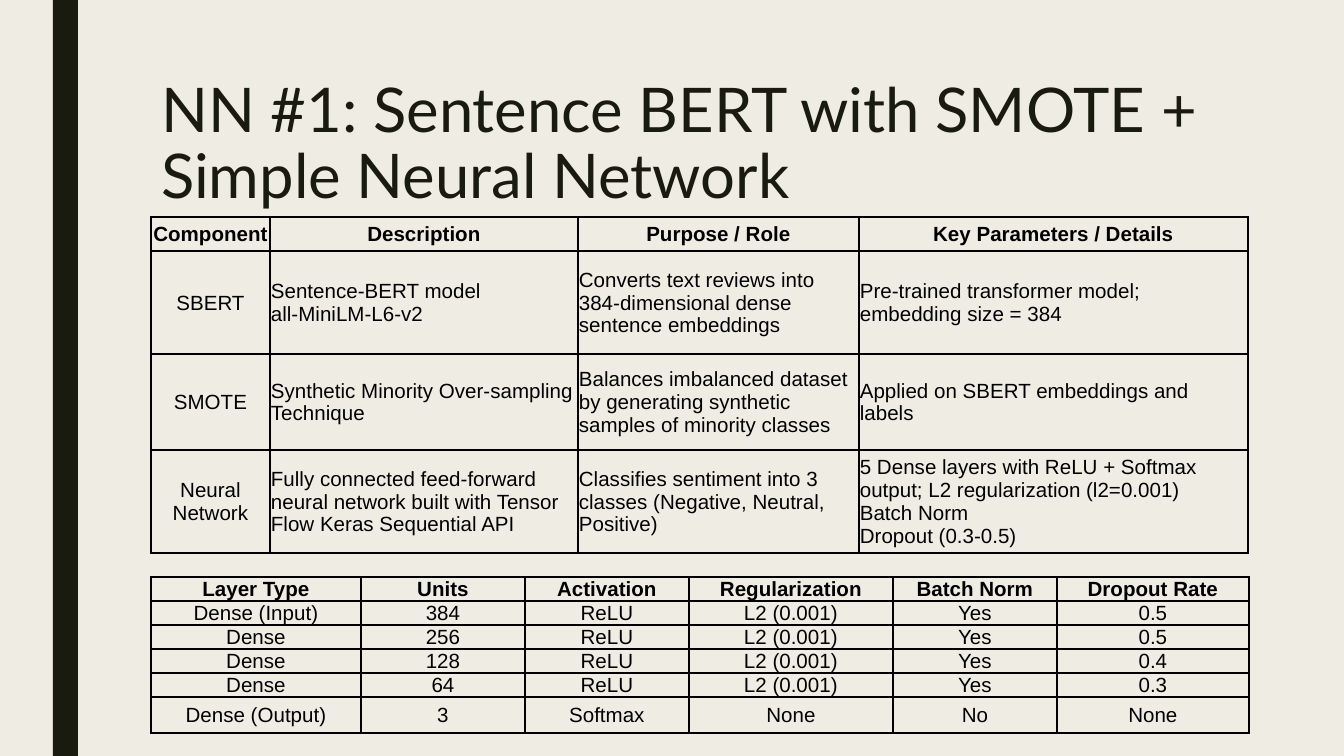
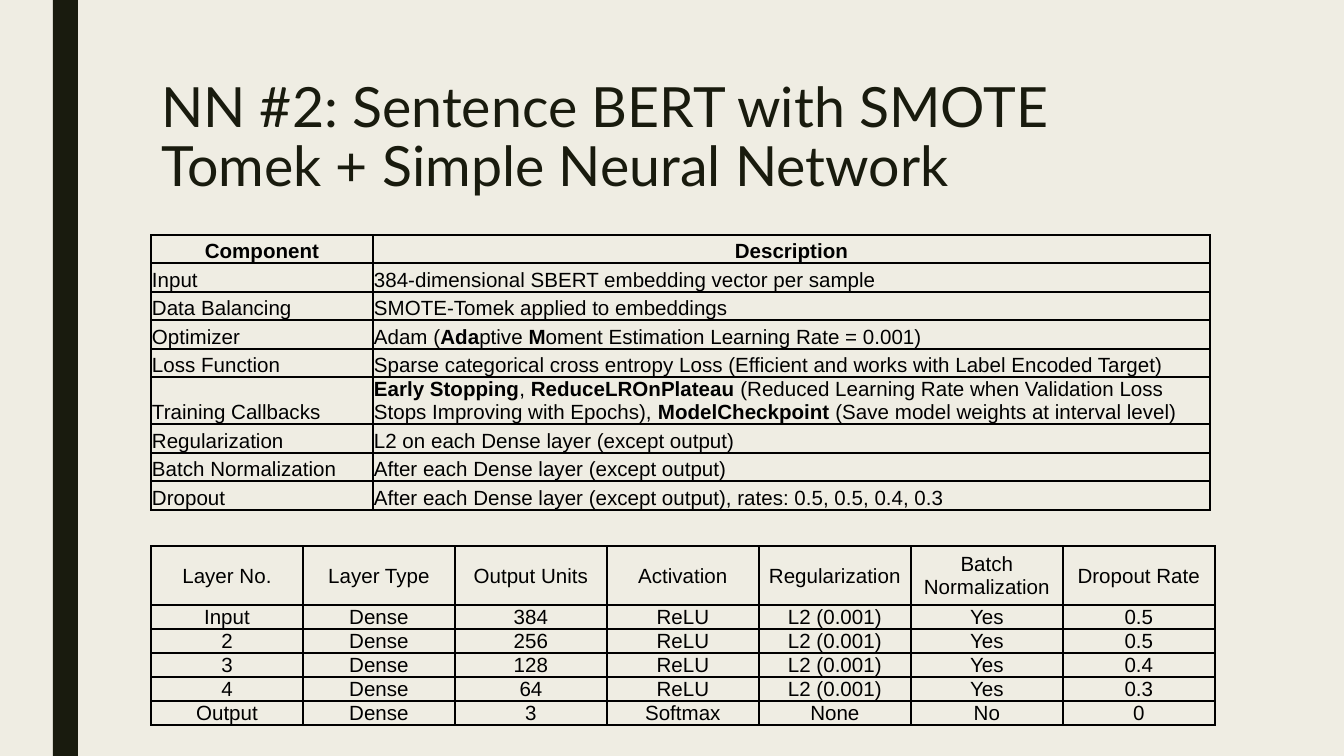
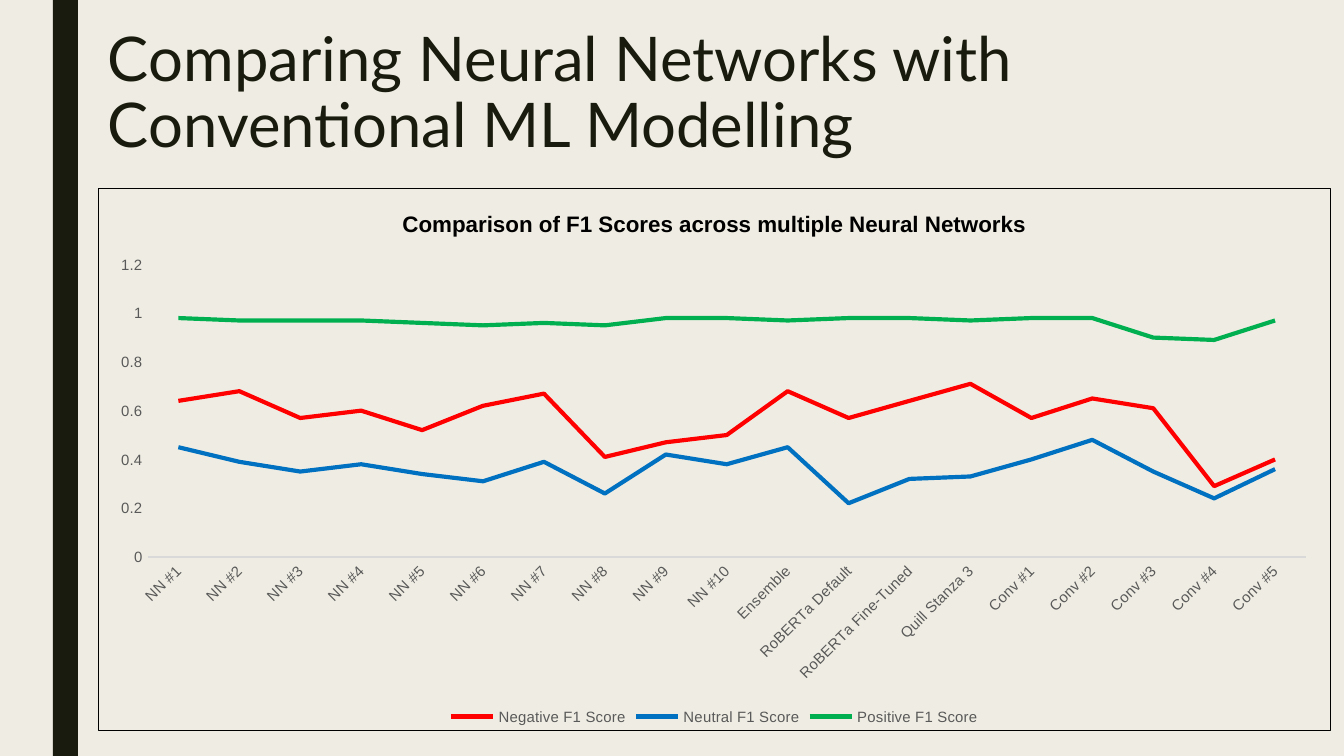
from pptx import Presentation
from pptx.chart.data import CategoryChartData
from pptx.dml.color import RGBColor
from pptx.enum.chart import XL_CHART_TYPE, XL_LEGEND_POSITION, XL_TICK_MARK
from pptx.enum.shapes import MSO_SHAPE
from pptx.enum.text import MSO_ANCHOR, MSO_AUTO_SIZE, PP_ALIGN
from pptx.oxml import parse_xml
from pptx.oxml.ns import nsdecls
from pptx.util import Pt

LINE = XL_CHART_TYPE.LINE
BOTTOM_LEGEND = XL_LEGEND_POSITION.BOTTOM
NO_TICK = XL_TICK_MARK.NONE
RECTANGLE = MSO_SHAPE.RECTANGLE
TOP, MIDDLE, BOTTOM = MSO_ANCHOR.TOP, MSO_ANCHOR.MIDDLE, MSO_ANCHOR.BOTTOM
NO_AUTOFIT = MSO_AUTO_SIZE.NONE
LEFT, CENTER = PP_ALIGN.LEFT, PP_ALIGN.CENTER

CREAM = RGBColor(0xEF, 0xED, 0xE3)
DARK = RGBColor(0x19, 0x1B, 0x0E)
BLACK = RGBColor(0, 0, 0)
GRAY = RGBColor(0x59, 0x59, 0x59)
PALE = RGBColor(0xD9, 0xD9, 0xD9)
RED = RGBColor(0xFF, 0, 0)
BLUE = RGBColor(0, 0x70, 0xC0)
GREEN = RGBColor(0, 0xB0, 0x50)

TITLE_FONT, BODY_FONT = "Lato", "Arial"
WIDTH, HEIGHT = 1344, 756
TITLE_ONLY = 5
TABLE_LEFT = 151


def px(n):
    return round(n * 914400 / 134.4)


def style_font(font, size, color, name=BODY_FONT, bold=False):
    font.size, font.name, font.bold = Pt(size), name, bold
    font.color.rgb = color


def write(tf, text, size, color=BLACK, name=BODY_FONT, bold=False, align=LEFT, spacing=None):
    """Each line is a paragraph; parts between ** marks are bold."""
    for i, line in enumerate(text.split("\n")):
        p = tf.add_paragraph() if i else tf.paragraphs[0]
        p.alignment, p.line_spacing = align, spacing
        for j, part in enumerate(line.split("**")):
            if part:
                r = p.add_run()
                r.text = part
                style_font(r.font, size, color, name, bold or j % 2 == 1)


def line_xml(tag, width):
    return parse_xml(
        f'<{tag} {nsdecls("a")} w="{Pt(width)}"><a:solidFill>'
        f'<a:srgbClr val="{BLACK}"/></a:solidFill></{tag}>')


class Deck:
    def __init__(self):
        self.prs = Presentation()
        self.prs.slide_width, self.prs.slide_height = px(WIDTH), px(HEIGHT)
        fill = self.prs.slide_master.background.fill
        fill.solid()
        fill.fore_color.rgb = CREAM
        self.s = None

    def add_slide(self):
        self.s = self.prs.slides.add_slide(self.prs.slide_layouts[TITLE_ONLY])
        if len(self.prs.slides) == 1:
            self.master_band()

    def master_band(self):
        """Draw the side band and move it to the master, behind its placeholders."""
        band = self.s.shapes.add_shape(RECTANGLE, px(53), 0, px(25), px(HEIGHT))
        band.shadow.inherit = False
        band.fill.solid()
        band.fill.fore_color.rgb = DARK
        band.line.fill.background()
        band.element.nvSpPr.cNvPr.id = 99
        self.prs.slide_master.shapes.element.insert(2, band.element)

    def title(self, text, left=TABLE_LEFT, top=75, height=164, size=33):
        sp = self.s.shapes.title
        sp.left, sp.top, sp.width, sp.height = px(left), px(top), px(1059), px(height)
        tf = sp.text_frame
        tf.word_wrap, tf.auto_size, tf.vertical_anchor = True, NO_AUTOFIT, TOP
        tf.margin_left = tf.margin_right = px(10)
        tf.margin_top = tf.margin_bottom = px(5)
        write(tf, text, size, DARK, TITLE_FONT, spacing=0.89)

    def table(self, top, cols, heights, rows, left_cols=(), anchor=MIDDLE, bold_header=True):
        """Cells are centred, but for the body cells of left_cols."""
        frame = self.s.shapes.add_table(
            len(rows), len(cols), px(TABLE_LEFT), px(top), px(sum(cols)), px(sum(heights)))
        table = frame.table
        table.first_row = table.horz_banding = False
        for column, width in zip(table.columns, cols):
            column.width = px(width)
        for i, (row, height) in enumerate(zip(rows, heights)):
            table.rows[i].height = px(height)
            for j, text in enumerate(row):
                align = LEFT if i and j in left_cols else CENTER
                self.cell(table.cell(i, j), text, align, anchor, bold_header and i == 0)

    def cell(self, cell, text, align, anchor, bold):
        cell.margin_left = cell.margin_right = cell.margin_top = px(1)
        cell.margin_bottom = 0
        cell.vertical_anchor = anchor
        cell.fill.background()
        write(cell.text_frame, text, 11, bold=bold, align=align)
        for k, side in enumerate("LRTB"):
            cell.fill._xPr.insert(k, line_xml(f"a:ln{side}", 1))

    def line_chart(self, left, top, width, height, title, cats, series):
        data = CategoryChartData()
        data.categories = cats
        for name, _, values in series:
            data.add_series(name, values)
        chart = self.s.shapes.add_chart(
            LINE, px(left), px(top), px(width), px(height), data).chart
        style_font(chart.font, 8, BLACK)
        chart.has_title = True
        write(chart.chart_title.text_frame, title, 12, bold=True, align=CENTER)
        chart.chart_title.include_in_layout = False
        chart.has_legend = True
        chart.legend.position, chart.legend.include_in_layout = BOTTOM_LEGEND, False
        style_font(chart.legend.font, 8, GRAY)

        plot = chart.plots[0]
        plot.vary_by_categories = False
        for line, (_, color, _) in zip(plot.series, series):
            line.smooth = False
            line.format.line.width = Pt(2.25)
            line.format.line.color.rgb = color

        cat_axis, val_axis = chart.category_axis, chart.value_axis
        for axis in (cat_axis, val_axis):
            axis.major_tick_mark = axis.minor_tick_mark = NO_TICK
            axis.has_major_gridlines = False
            style_font(axis.tick_labels.font, 8, GRAY)
        cat_axis.format.line.color.rgb = PALE
        cat_axis.format.line.width = Pt(0.75)
        val_axis.format.line.fill.background()
        val_axis.minimum_scale, val_axis.maximum_scale, val_axis.major_unit = 0, 1.2, 0.2
        self.chart_layout(chart.element)

    def chart_layout(self, root):
        """Slant the category labels, frame the chart and place its plot area."""
        label_body = root.xpath(".//c:catAx/c:txPr/a:bodyPr")[0]
        label_body.set("rot", "-2700000")
        label_body.set("vert", "horz")
        frame = parse_xml(f'<c:spPr {nsdecls("c", "a")}><a:noFill/></c:spPr>')
        frame.append(line_xml("a:ln", 0.75))
        root.xpath("c:chart")[0].addnext(frame)
        area = root.xpath("c:chart/c:plotArea")[0]
        for old in area.xpath("c:layout"):
            area.remove(old)
        places = "".join(f'<c:{k} val="{v}"/>' for k, v in (
            ("layoutTarget", "inner"), ("xMode", "edge"), ("yMode", "edge"),
            ("x", 0.04), ("y", 0.14), ("w", 0.94), ("h", 0.54)))
        area.insert(0, parse_xml(
            f'<c:layout {nsdecls("c")}><c:manualLayout>{places}</c:manualLayout></c:layout>'))


COMPONENTS = [
    ("Component", "Description", "Purpose / Role", "Key Parameters / Details"),
    ("SBERT", "Sentence-BERT model\nall-MiniLM-L6-v2",
     "Converts text reviews into 384-dimensional dense sentence embeddings",
     "Pre-trained transformer model; embedding size = 384"),
    ("SMOTE", "Synthetic Minority Over-sampling Technique",
     "Balances imbalanced dataset by generating synthetic samples of minority classes",
     "Applied on SBERT embeddings and labels"),
    ("Neural Network",
     "Fully connected feed-forward neural network built with Tensor Flow Keras Sequential API",
     "Classifies sentiment into 3 classes (Negative, Neutral, Positive)",
     "5 Dense layers with ReLU + Softmax output; L2 regularization (l2=0.001)\n"
     "Batch Norm\nDropout (0.3-0.5)"),
]
SETTINGS = [
    ("Component", "Description"),
    ("Input", "384-dimensional SBERT embedding vector per sample"),
    ("Data Balancing", "SMOTE-Tomek applied to embeddings"),
    ("Optimizer", "Adam (**Ada**ptive **M**oment Estimation Learning Rate = 0.001)"),
    ("Loss Function",
     "Sparse categorical cross entropy Loss (Efficient and works with Label Encoded Target)"),
    ("Training Callbacks",
     "**Early Stopping**, **ReduceLROnPlateau** (Reduced Learning Rate when Validation Loss "
     "Stops Improving with Epochs), **ModelCheckpoint** (Save model weights at interval level)"),
    ("Regularization", "L2 on each Dense layer (except output)"),
    ("Batch Normalization", "After each Dense layer (except output)"),
    ("Dropout", "After each Dense layer (except output), rates: 0.5, 0.5, 0.4, 0.3"),
]
HIDDEN = [(units, "ReLU", "L2 (0.001)", "Yes", rate) for units, rate in
          (("384", "0.5"), ("256", "0.5"), ("128", "0.4"), ("64", "0.3"))]
OUTPUT = ("3", "Softmax", "None", "No")
LAYER_TYPES = ("Dense (Input)", "Dense", "Dense", "Dense")
LAYER_NUMBERS = ("Input", "2", "3", "4")

MODELS = [f"NN #{n}" for n in range(1, 11)]
MODELS += ["Ensemble", "RoBERTa Default", "RoBERTa Fine-Tuned", "Quill Stanza 3"]
MODELS += [f"Conv #{n}" for n in range(1, 6)]
SCORES = [
    ("Negative F1 Score", RED,
     (0.64, 0.68, 0.57, 0.6, 0.52, 0.62, 0.67, 0.41, 0.47, 0.5,
      0.68, 0.57, 0.64, 0.71, 0.57, 0.65, 0.61, 0.29, 0.4)),
    ("Neutral F1 Score", BLUE,
     (0.45, 0.39, 0.35, 0.38, 0.34, 0.31, 0.39, 0.26, 0.42, 0.38,
      0.45, 0.22, 0.32, 0.33, 0.4, 0.48, 0.35, 0.24, 0.36)),
    ("Positive F1 Score", GREEN,
     (0.98, 0.97, 0.97, 0.97, 0.96, 0.95, 0.96, 0.95, 0.98, 0.98,
      0.97, 0.98, 0.98, 0.97, 0.98, 0.98, 0.9, 0.89, 0.97)),
]


def smote_slide(deck):
    deck.add_slide()
    deck.title("NN #1: Sentence BERT with SMOTE + Simple Neural Network")
    layers = [("Layer Type", "Units", "Activation", "Regularization", "Batch Norm", "Dropout Rate")]
    layers += [(kind, *row) for kind, row in zip(LAYER_TYPES, HIDDEN)]
    layers.append(("Dense (Output)", *OUTPUT, "None"))
    deck.table(577, (210, 164, 164, 204, 164, 192), [24] * 5 + [36], layers)
    deck.table(217, (119, 308, 281, 389), (34, 103, 96, 103), COMPONENTS, left_cols=(1, 2, 3))


def smote_tomek_slide(deck):
    deck.add_slide()
    deck.title("NN #2: Sentence BERT with SMOTE Tomek + Simple Neural Network",
               height=129, size=29.7)
    deck.table(235, (222, 837), (28, 29, 28, 29, 28, 47, 29, 28, 29), SETTINGS,
               left_cols=(0, 1), anchor=BOTTOM)
    layers = [("Layer No.", "Layer Type", "Output Units", "Activation", "Regularization",
               "Batch Normalization", "Dropout Rate")]
    layers += [(number, "Dense", *row) for number, row in zip(LAYER_NUMBERS, HIDDEN)]
    layers.append(("Output", "Dense", *OUTPUT, "0"))
    deck.table(546, [152] * 7, [59] + [24] * 5, layers, bold_header=False)


def comparison_slide(deck):
    deck.add_slide()
    deck.title("Comparing Neural Networks with Conventional ML Modelling", left=98, top=24)
    deck.line_chart(98, 188, 1233, 543,
                    "Comparison of F1 Scores across multiple Neural Networks", MODELS, SCORES)


def main():
    deck = Deck()
    smote_slide(deck)
    smote_tomek_slide(deck)
    comparison_slide(deck)
    deck.prs.save("out.pptx")


if __name__ == "__main__":
    main()
